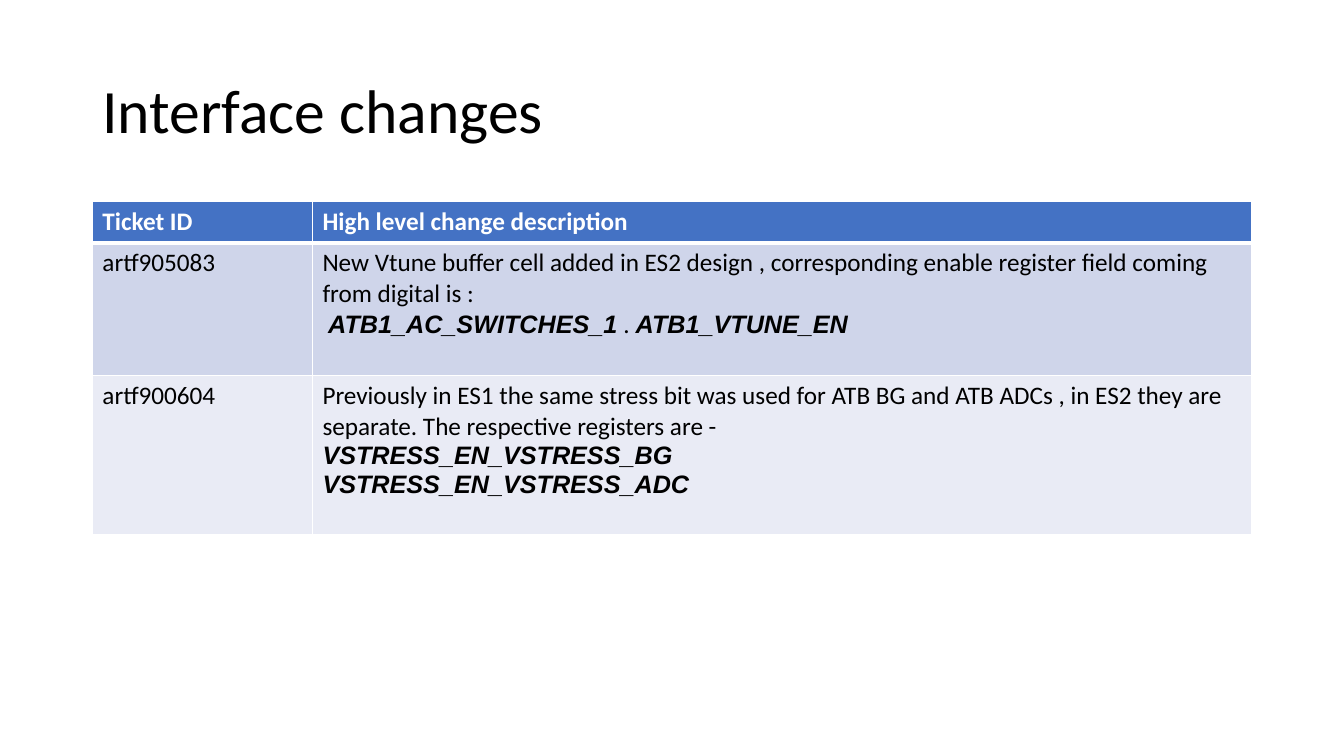
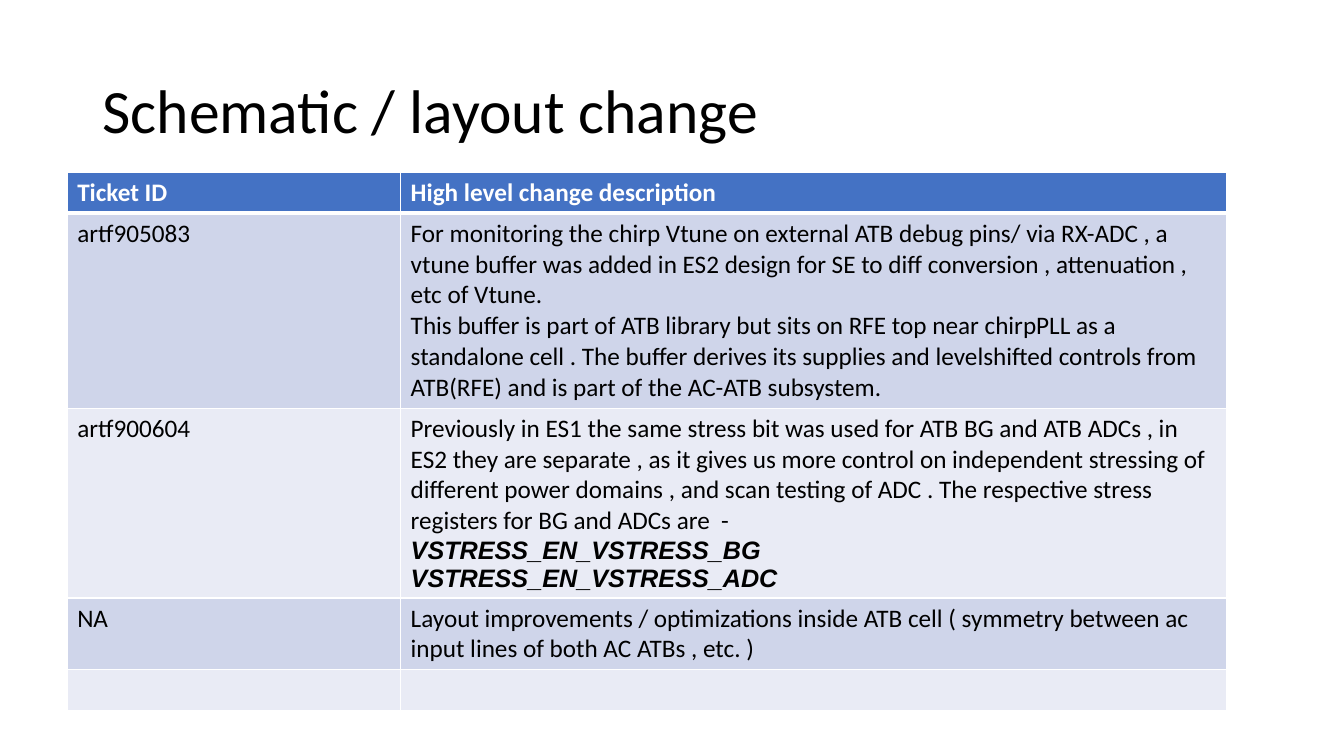
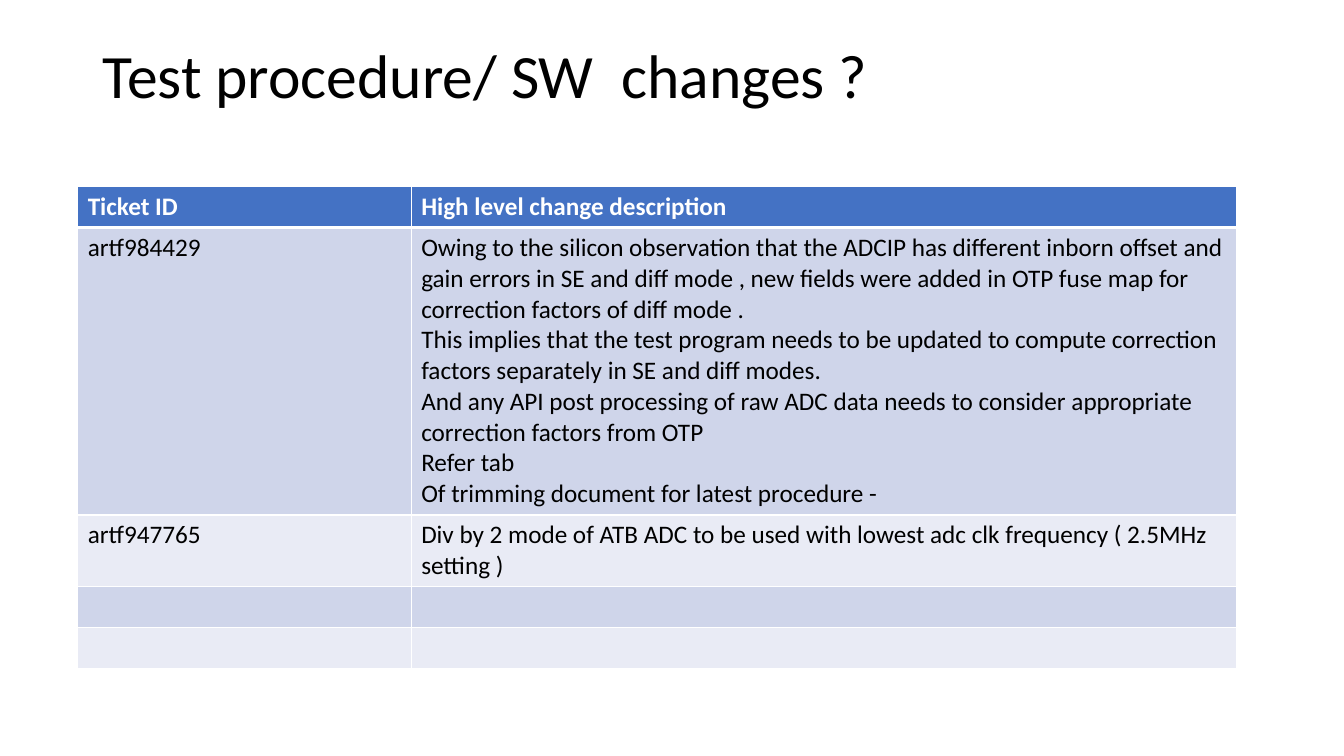
from dataclasses import dataclass

from lxml import etree
from pptx import Presentation, util as u
from pptx.dml.color import RGBColor
from pptx.enum import text as t
from pptx.oxml.ns import qn

# Grid: 160 columns by 90 rows, one unit is a twelfth of an inch
UNIT = u.Inches(1) / 12
SLIDE_COLS, SLIDE_ROWS = 160, 90
MARGIN_COL, CONTENT_COLS = 11, 138
TITLE_ROW, TITLE_ROWS = 4.8, 17.4
LINE_ROWS = 4.9      # table row with one line of text
PAIR_ROWS = 8.5      # table row with two lines of text

# Shared style
BODY_FONT, REGISTER_FONT = "Calibri", "Arial"
BLACK, WHITE = "000000", "FFFFFF"
HEADER_FILL, BANDS = "4472C4", ("CFD5EA", "E9EBF5")
HEADINGS = ("Ticket ID", "High level change description")


@dataclass(frozen=True)
class Run:
    text: str
    register: bool = False


Paragraph = tuple[Run, ...]


@dataclass(frozen=True)
class Ticket:
    rows: float
    ident: str = ""
    description: tuple[Paragraph, ...] = ()


@dataclass(frozen=True)
class ChangeSlide:
    title: str
    col: float
    row: float
    ident_cols: float
    tickets: tuple[Ticket, ...]
    title_anchor: t.MSO_ANCHOR = t.MSO_ANCHOR.MIDDLE


def grid(units: float) -> u.Emu:
    return u.Emu(round(units * UNIT))


def color(hex_code: str) -> RGBColor:
    return RGBColor.from_string(hex_code)


def plain(text: str) -> Paragraph:
    return (Run(text),)


def register(text: str) -> Paragraph:
    return (Run(text, register=True),)


def add_text(paragraph, text: str, *, size: float = 18, font: str = BODY_FONT,
             ink: str = BLACK, bold: bool = False, italic: bool = False) -> None:
    run = paragraph.add_run()
    run.text = text
    run.font.size, run.font.name = u.Pt(size), font
    run.font.bold, run.font.italic = bold, italic
    run.font.color.rgb = color(ink)


def style_cell(cell, fill: str, top: float = 1, bottom: float = 1) -> None:
    """Draw the white borders, then fill the cell."""
    properties = cell._tc.get_or_add_tcPr()
    for side, points in (("L", 1), ("R", 1), ("T", top), ("B", bottom)):
        border = etree.SubElement(properties, qn(f"a:ln{side}"), w=str(u.Pt(points)))
        solid = etree.SubElement(border, qn("a:solidFill"))
        etree.SubElement(solid, qn("a:srgbClr"), val=WHITE)
    cell.fill.solid()
    cell.fill.fore_color.rgb = color(fill)


def write_paragraphs(cell, paragraphs: tuple[Paragraph, ...]) -> None:
    frame = cell.text_frame
    for index, runs in enumerate(paragraphs):
        paragraph = frame.add_paragraph() if index else frame.paragraphs[0]
        for run in runs:
            add_text(paragraph, run.text, bold=run.register, italic=run.register,
                     font=REGISTER_FONT if run.register else BODY_FONT)


def add_title(slide, title: str, anchor: t.MSO_ANCHOR) -> None:
    frame = slide.shapes.title.text_frame
    frame.vertical_anchor = anchor
    heading = frame.paragraphs[0]
    heading.alignment, heading.line_spacing = t.PP_ALIGN.LEFT, 0.9
    add_text(heading, title, size=44)


def add_ticket_table(slide, change: ChangeSlide) -> None:
    heights = [LINE_ROWS] + [ticket.rows for ticket in change.tickets]
    table = slide.shapes.add_table(
        len(heights), len(HEADINGS), grid(change.col), grid(change.row),
        grid(CONTENT_COLS), grid(sum(heights))).table
    table.columns[0].width = grid(change.ident_cols)
    table.columns[1].width = grid(CONTENT_COLS - change.ident_cols)
    for row, height in zip(table.rows, heights):
        row.height = grid(height)

    # Header
    for cell, heading in zip(table.rows[0].cells, HEADINGS):
        style_cell(cell, HEADER_FILL, bottom=3)
        add_text(cell.text_frame.paragraphs[0], heading, ink=WHITE, bold=True)

    # Tickets in alternating bands
    for index, ticket in enumerate(change.tickets):
        ident, description = table.rows[index + 1].cells
        for cell in (ident, description):
            style_cell(cell, BANDS[index % 2], top=1 if index else 3)
        if ticket.ident:
            write_paragraphs(ident, (plain(ticket.ident),))
        write_paragraphs(description, ticket.description)


STRESS_REGISTERS = (register("VSTRESS_EN_VSTRESS_BG"), register("VSTRESS_EN_VSTRESS_ADC"))

CHANGES = (
    ChangeSlide("Interface changes", MARGIN_COL, 24, 26.2, (
        Ticket(15.8, "artf905083", (
            plain("New Vtune buffer cell added in ES2 design , corresponding enable "
                  "register field coming from digital is :"),
            (Run(" "), Run("ATB1_AC_SWITCHES_1", True), Run(" ."),
             Run(" ATB1_VTUNE_EN", True)))),
        Ticket(19, "artf900604", (
            plain("Previously in ES1 the same stress bit was used for ATB BG and ATB "
                  "ADCs , in ES2 they are separate. The respective registers are -"),
            *STRESS_REGISTERS)))),
    ChangeSlide("Schematic / layout change", 8, 20.5, 39.7, (
        Ticket(23.2, "artf905083", (
            plain("For monitoring the chirp Vtune on external ATB debug pins/ via RX-ADC , "
                  "a vtune buffer was added in ES2 design for SE to diff conversion , "
                  "attenuation , etc of Vtune."),
            plain("This buffer is part of ATB library but sits on RFE top near chirpPLL "
                  "as a standalone cell . The buffer derives its supplies and levelshifted "
                  "controls from ATB(RFE) and is part of the AC-ATB subsystem."))),
        Ticket(22.6, "artf900604", (
            plain("Previously in ES1 the same stress bit was used for ATB BG and ATB ADCs , "
                  "in ES2 they are separate , as it gives us more control on independent "
                  "stressing of different power domains , and scan testing of ADC . The "
                  "respective stress registers for BG and ADCs are  -"),
            *STRESS_REGISTERS)),
        Ticket(PAIR_ROWS, "NA", (
            plain("Layout improvements / optimizations inside ATB cell ( symmetry between "
                  "ac input lines of both AC ATBs , etc. )"),)),
        Ticket(LINE_ROWS))),
    ChangeSlide("Test procedure/ SW  changes ?", 9.25, 22.2, 39.7, (
        Ticket(34.2, "artf984429", (
            plain("Owing to the silicon observation that the ADCIP has different inborn "
                  "offset and gain errors in SE and diff mode , new fields were added in "
                  "OTP fuse map for correction factors of diff mode ."),
            plain("This implies that the test program needs to be updated to compute "
                  "correction factors separately in SE and diff modes."),
            plain("And any API post processing of raw ADC data needs to consider "
                  "appropriate correction factors from OTP"),
            plain("Refer tab"),
            plain("Of trimming document for latest procedure -"))),
        Ticket(PAIR_ROWS, "artf947765", (
            plain("Div by 2 mode of ATB ADC to be used with lowest adc clk frequency "
                  "( 2.5MHz setting )"),)),
        Ticket(LINE_ROWS),
        Ticket(LINE_ROWS)), title_anchor=t.MSO_ANCHOR.TOP),
)


deck = Presentation()
deck.slide_width, deck.slide_height = grid(SLIDE_COLS), grid(SLIDE_ROWS)

# Title place shared through the "Title Only" layout
title_only = deck.slide_layouts[5]
title_place = title_only.placeholders[0]
title_place.left, title_place.top = grid(MARGIN_COL), grid(TITLE_ROW)
title_place.width, title_place.height = grid(CONTENT_COLS), grid(TITLE_ROWS)

for change in CHANGES:
    slide = deck.slides.add_slide(title_only)
    add_title(slide, change.title, change.title_anchor)
    add_ticket_table(slide, change)

deck.save("out.pptx")
